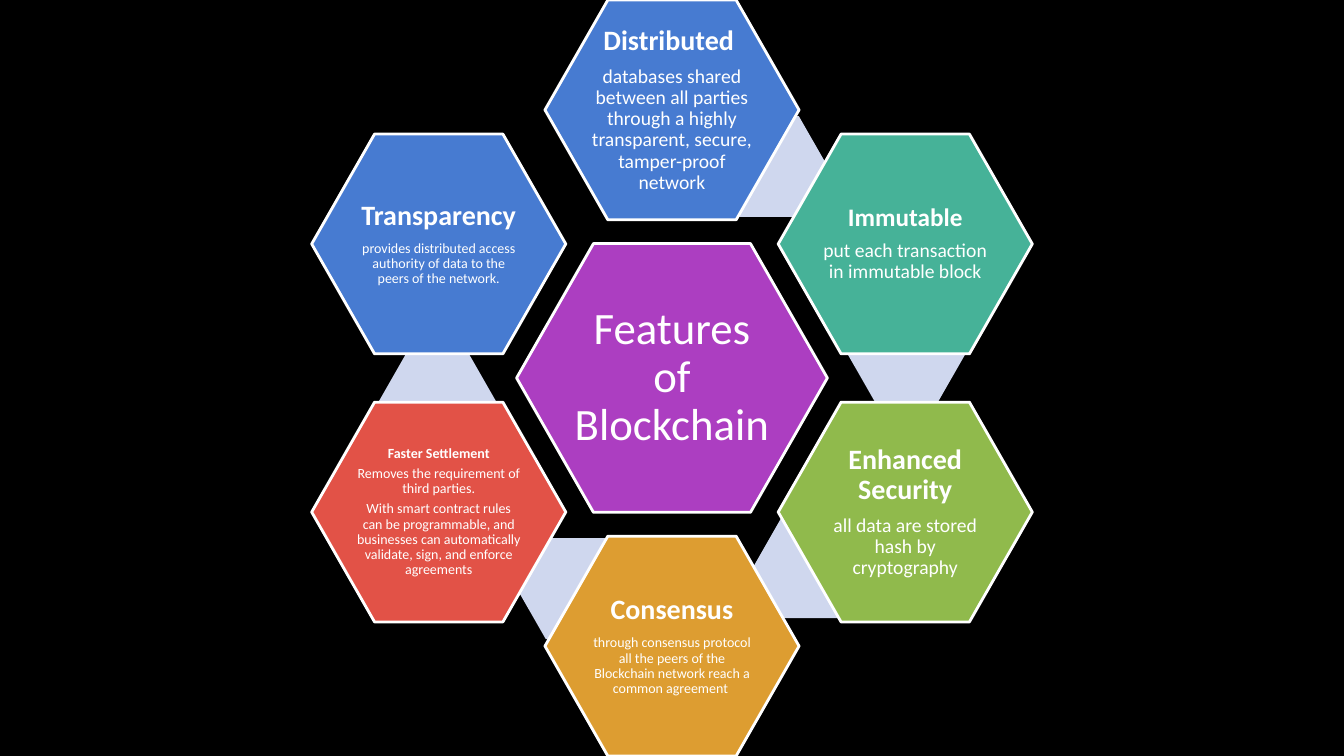
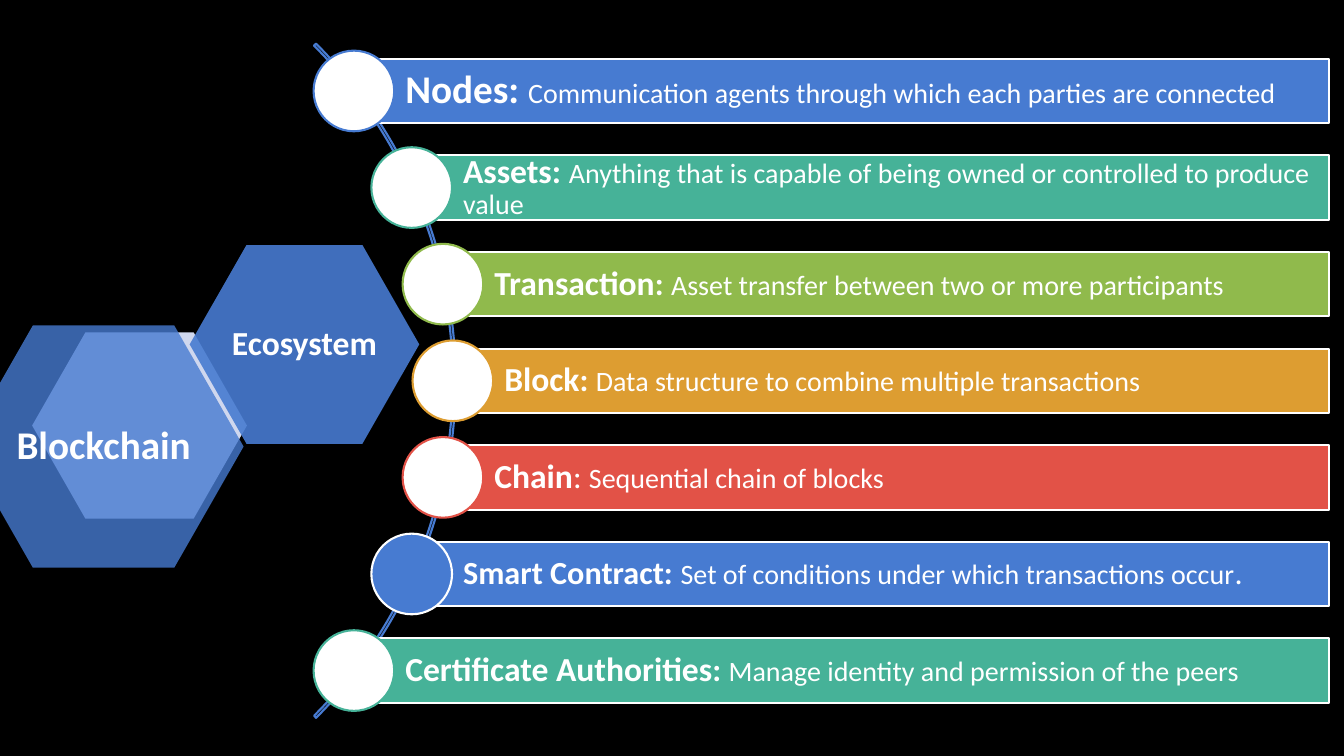
"""Build two slides on the features and the ecosystem of blockchain."""
from math import cos, pi, sin, sqrt

from lxml.etree import SubElement
from pptx import Presentation
from pptx.dml.color import RGBColor
from pptx.enum.shapes import MSO_SHAPE as SHAPE
from pptx.enum.text import MSO_ANCHOR as ANCHOR, MSO_AUTO_SIZE as AUTO, PP_ALIGN as ALIGN
from pptx.oxml.ns import qn
from pptx.util import Pt

BLACK = RGBColor(0x00, 0x00, 0x00)
WHITE = RGBColor(0xFF, 0xFF, 0xFF)
BLUE = RGBColor(0x47, 0x7B, 0xD1)
TEAL = RGBColor(0x46, 0xB2, 0x98)
GREEN = RGBColor(0x90, 0xBA, 0x4C)
AMBER = RGBColor(0xDD, 0x9D, 0x31)
RED = RGBColor(0xE2, 0x52, 0x47)
PURPLE = RGBColor(0xAC, 0x3E, 0xC1)
PALE = RGBColor(0xCF, 0xD7, 0xEE)

FEATURES = [
    (BLUE, [("Distributed ", 20, True),
            ("databases shared between all parties through a highly transparent, "
             "secure, tamper-proof network", 14, False)]),
    (TEAL, [("Immutable", 18, True),
            ("put each transaction in immutable block", 14, False)]),
    (GREEN, [("Enhanced Security", 20, True),
             ("all data are stored hash by cryptography", 14, False)]),
    (AMBER, [("Consensus", 20, True),
             ("through consensus protocol all the peers of the Blockchain network "
              "reach a common agreement ", 10, False)]),
    (RED, [("Faster Settlement", 10, True),
           ("Removes the requirement of third parties.", 10, False),
           ("With smart contract rules can be programmable, and businesses can "
            "automatically validate, sign, and enforce agreements", 10, False)]),
    (BLUE, [("Transparency", 20, True),
            ("provides distributed access authority of data to the peers of the "
             "network.", 10, False)]),
]
LINKS = [(549.5, 119), (647.5, 253.5), (579.5, 405.5), (411, 420.5), (312.5, 286.5)]

PARTS = [
    (BLUE, [("Nodes: ", 28, True),
            ("Communication agents through which each parties are connected", 20, False)]),
    (TEAL, [("Assets: ", 24, True),
            ("Anything that is capable of being owned or controlled to produce value",
             20, False)]),
    (GREEN, [("Transaction", 24, True), (": ", 23, True),
             ("Asset transfer between two or more participants", 20, False)]),
    (AMBER, [("Block", 24, True), (": ", 23, True),
             ("Data structure to combine multiple transactions", 20, False)]),
    (RED, [("Chain", 24, True), (": ", 23, False),
           ("Sequential chain of blocks", 20, False)]),
    (BLUE, [("Smart Contract: ", 23, True),
            ("Set of conditions under which transactions occur", 20, False),
            (".", 23, False)]),
    (TEAL, [("Certificate Authorities", 24, True), (": ", 23, True),
            ("Manage identity and permission of the peers", 20, False)]),
]


class Deck:
    """Hold the shared style and the current slide."""

    FONT = "Calibri"
    LEADING = 0.9
    GAP = 0.35

    def __init__(self):
        """Start a black widescreen deck."""
        self.prs = Presentation()
        self.prs.slide_width, self.prs.slide_height = Pt(960), Pt(540)
        fill = self.prs.slide_master.background.fill
        fill.solid()
        fill.fore_color.rgb = BLACK

    def new_slide(self):
        """Add a title-only slide and make it current."""
        self.slide = self.prs.slides.add_slide(self.prs.slide_layouts[5])

    def shape(self, kind, cx, cy, w, h, fill=None, line=None, weight=1.5):
        """Draw a preset shape around a centre."""
        s = self.slide.shapes.add_shape(
            kind, Pt(cx - w / 2), Pt(cy - h / 2), Pt(w), Pt(h))
        s.shadow.inherit = False
        if fill is None:
            s.fill.background()
        else:
            s.fill.solid()
            s.fill.fore_color.rgb = fill
        if line is None:
            s.line.fill.background()
        else:
            s.line.color.rgb = line
            s.line.width = Pt(weight)
        return s

    def set_text(self, s, paragraphs, align=ALIGN.CENTER, inset=2, left=None):
        """Fill a shape with paragraphs of (text, size, bold) runs."""
        tf = s.text_frame
        tf.word_wrap, tf.auto_size = True, AUTO.NONE
        tf.vertical_anchor = ANCHOR.MIDDLE
        tf.margin_left = Pt(inset if left is None else left)
        tf.margin_right = tf.margin_top = tf.margin_bottom = Pt(inset)
        for i, runs in enumerate(paragraphs):
            p = tf.add_paragraph() if i else tf.paragraphs[0]
            p.alignment, p.line_spacing = align, self.LEADING
            p.space_after = Pt(self.GAP * runs[0][1])
            for text, size, bold in runs:
                r = p.add_run()
                r.text = text
                r.font.name, r.font.size, r.font.bold = self.FONT, Pt(size), bold
                r.font.color.rgb = WHITE

    def hexagon(self, cx, cy, w, h, fill, line=None, lines=(), alpha=None):
        """Draw a hexagon with one run per paragraph."""
        s = self.shape(SHAPE.HEXAGON, cx, cy, w, h, fill, line, 2)
        s.adjustments[0] = 0.286
        if alpha:
            clr = s._element.spPr.find(qn("a:solidFill"))[0]
            SubElement(clr, qn("a:alpha")).set("val", str(alpha * 1000))
        self.set_text(s, [[run] for run in lines])

    def title(self, cx, cy, w, h, run):
        """Bring the title placeholder to the front, inside its hexagon."""
        s = self.slide.shapes.title
        s.left, s.top = Pt(cx - w / 3), Pt(cy - h / 3)
        s.width, s.height = Pt(w * 2 / 3), Pt(h * 2 / 3)
        self.set_text(s, [[run]], inset=3)
        self.slide.shapes._spTree.append(s._element)

    def bar(self, left, cy, right, fill, runs):
        """Draw a labelled bar."""
        s = self.shape(SHAPE.RECTANGLE, (left + right) / 2, cy, right - left, 46,
                       fill, WHITE)
        self.set_text(s, [runs], ALIGN.LEFT, 5, 36.7)


def features(deck):
    """Ring six features around the title."""
    deck.new_slide()
    cx, cy, radius_x, radius_y = 480, 270, 192.4, 191.5
    centre = (cx, cy, 222, 192)
    deck.hexagon(*centre, PURPLE, WHITE)
    for x, y in LINKS:
        deck.hexagon(x, y, 83.5, 72, PALE)
    for i, (color, lines) in enumerate(FEATURES):
        angle = i * pi / 3
        deck.hexagon(cx + radius_x * sin(angle), cy - radius_y * cos(angle),
                     181.5, 157, color, WHITE, lines)
    deck.title(*centre, ("Features of Blockchain", 32, False))


def ecosystem(deck):
    """Hang the parts of the ecosystem on an arc."""
    deck.new_slide()
    cx, cy, radius, pitch = -15, 272, 338.5, 69
    arc = deck.shape(SHAPE.BLOCK_ARC, cx, cy, 681, 681, line=BLUE)
    for i, value in enumerate((189, 27, 0.003)):
        arc.adjustments[i] = value
    for i, (color, runs) in enumerate(PARTS):
        dy = (i - len(PARTS) // 2) * pitch
        x, y = cx + sqrt(radius ** 2 - dy ** 2), cy + dy
        deck.bar(x, y, 949.3, color, runs)
        colors = (BLUE, WHITE) if runs[0][0].startswith("Smart") else (WHITE, color)
        deck.shape(SHAPE.OVAL, x, y, 57.6, 57.6, *colors)
    blockchain = (74, 319, 200, 173)
    deck.hexagon(99.7, 304, 153.4, 133, PALE)
    deck.hexagon(*blockchain, BLUE, alpha=80)
    deck.hexagon(217.5, 246, 164, 142, BLUE, lines=[("Ecosystem", 24, True)], alpha=90)
    deck.title(*blockchain, ("Blockchain", 28, True))


def main():
    """Build and save the deck."""
    deck = Deck()
    features(deck)
    ecosystem(deck)
    deck.prs.save("out.pptx")


if __name__ == "__main__":
    main()
